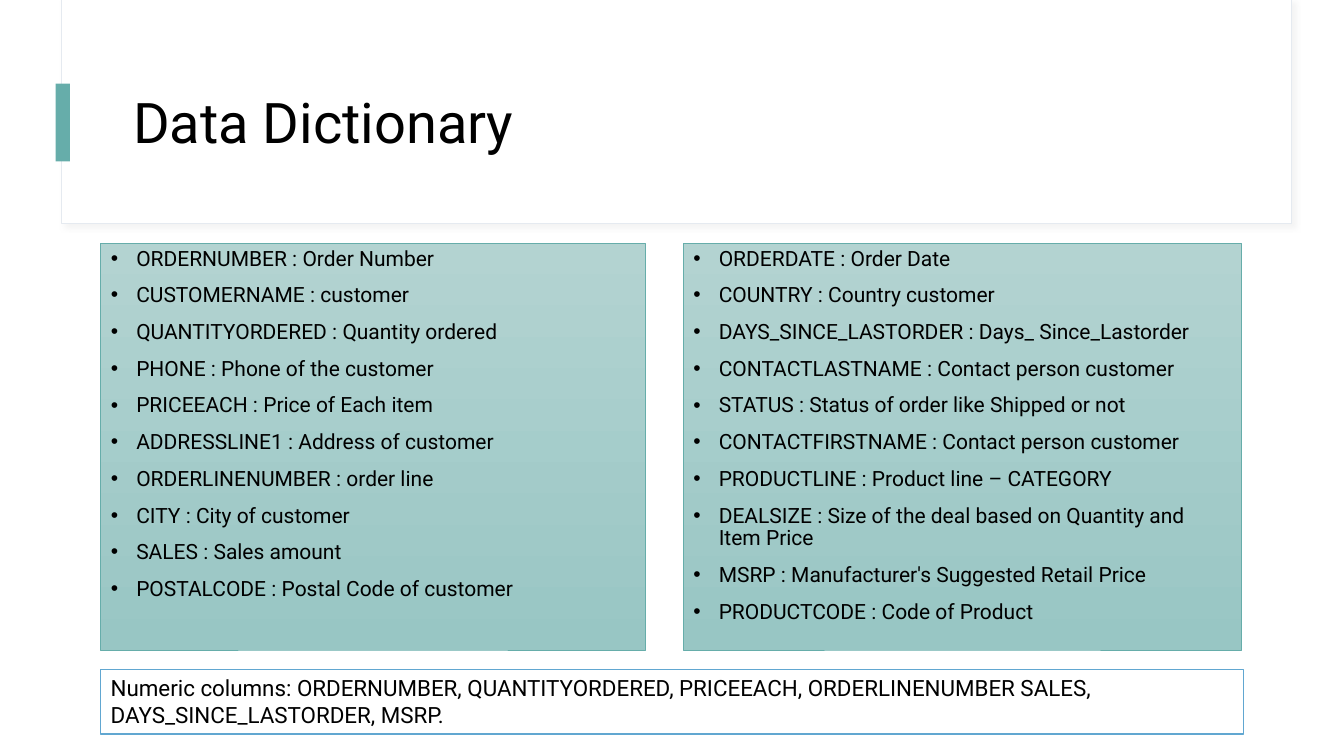
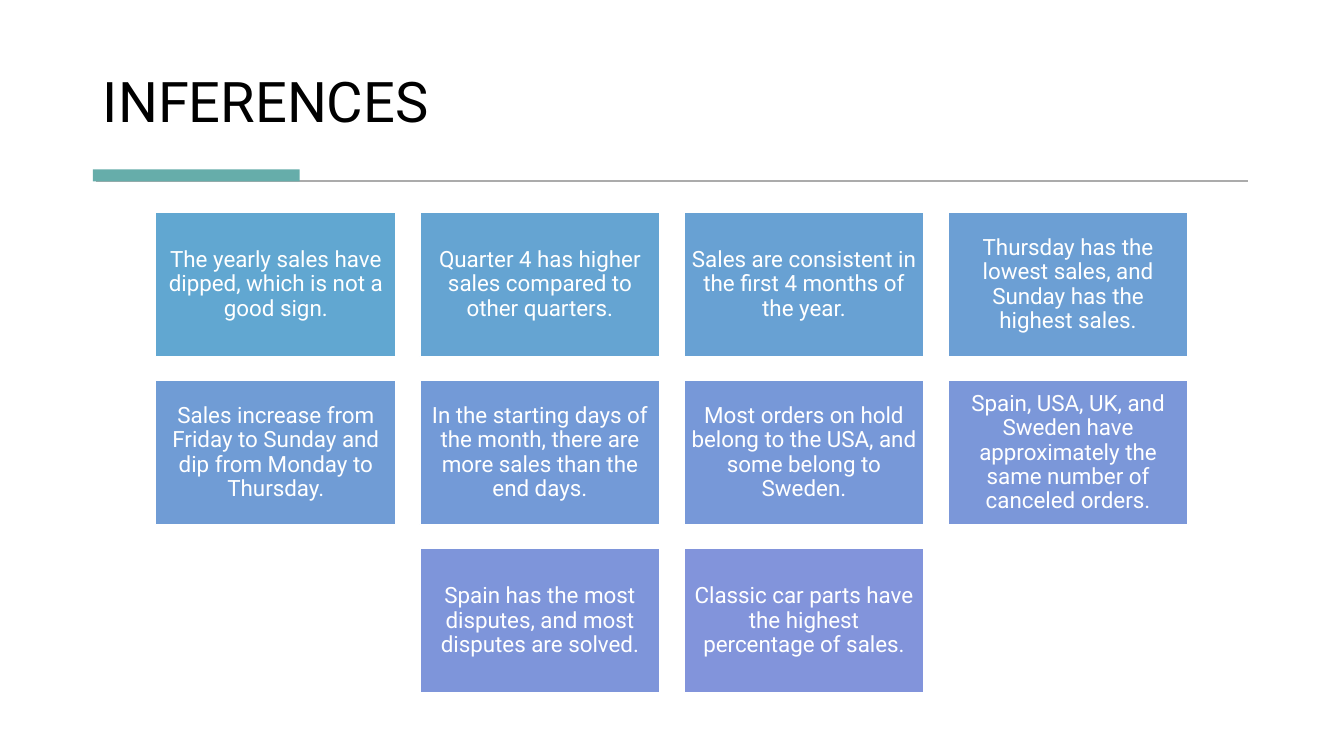
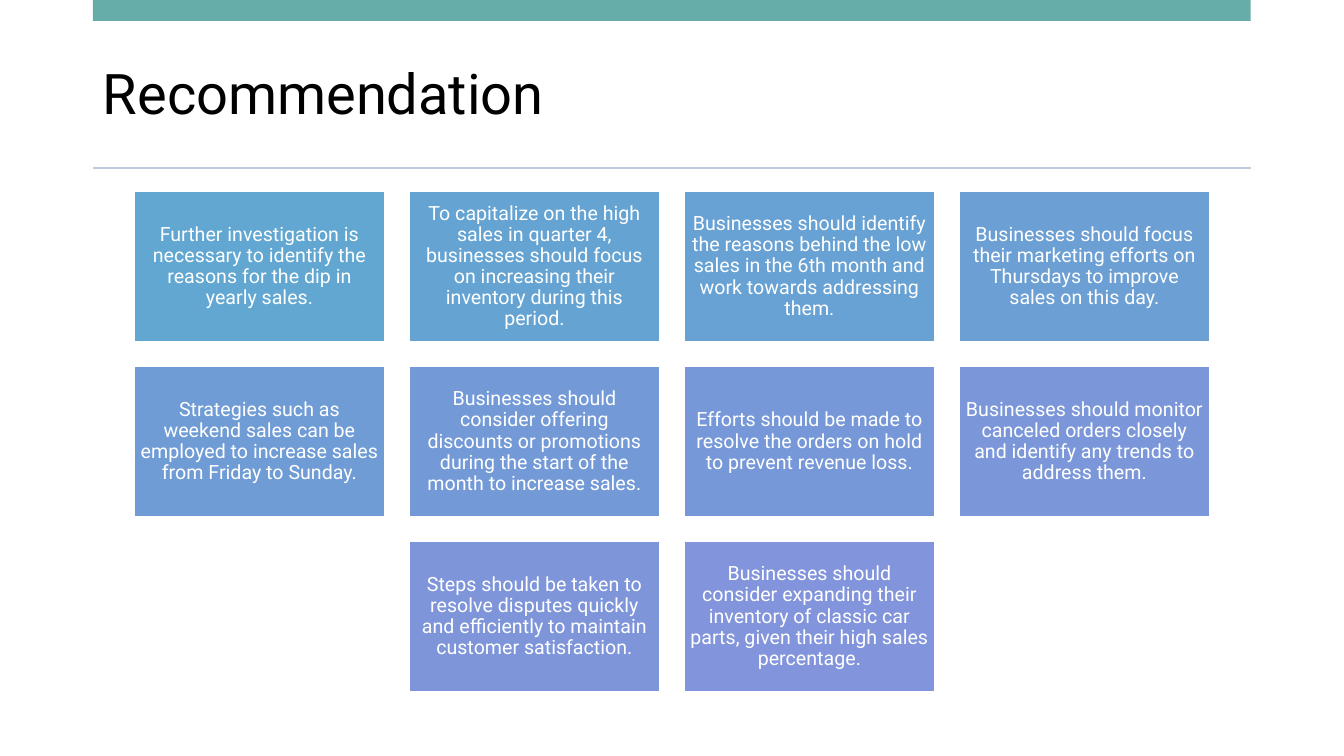
"""Builds three slides: a data dictionary, inferences and recommendations."""
from lxml import etree
from pptx import Presentation
from pptx.dml.color import RGBColor
from pptx.enum.shapes import MSO_CONNECTOR, MSO_SHAPE
from pptx.enum.text import MSO_ANCHOR, MSO_AUTO_SIZE, PP_ALIGN
from pptx.oxml import parse_xml
from pptx.oxml.ns import nsdecls, qn
from pptx.util import Cm, Pt

RECT = MSO_SHAPE.RECTANGLE
LINE = MSO_CONNECTOR.STRAIGHT
TOP, MIDDLE, BOTTOM = MSO_ANCHOR.TOP, MSO_ANCHOR.MIDDLE, MSO_ANCHOR.BOTTOM
LEFT, CENTER = PP_ALIGN.LEFT, PP_ALIGN.CENTER
FIXED = MSO_AUTO_SIZE.NONE

FONT = "Roboto"
WIDTH, HEIGHT = 33.87, 19.05
TWO_LISTS, TITLE_ONLY = 3, 5
COLORS = {
    "ink": "000000", "paper": "FFFFFF", "teal": "66ADAA", "blue": "61A7D1",
    "light": "B3D3D1", "deep": "98C6C4", "frame": "E5EAF0",
    "shade": "D9D9D9", "gray": "ABABAB", "mist": "BDCADB",
}
TILES = ["61A7D1", "65A4D2", "68A1D3", "6C9FD4", "709CD5",
         "739AD7", "7798D8", "7B97D9", "7E95DA", "8294DB"]

ORDERS = [
    "ORDERNUMBER : Order Number",
    "CUSTOMERNAME : customer",
    "QUANTITYORDERED : Quantity ordered",
    "PHONE : Phone of the customer",
    "PRICEEACH : Price of Each item",
    "ADDRESSLINE1 : Address of customer",
    "ORDERLINENUMBER : order line",
    "CITY : City of customer",
    "SALES : Sales amount",
    "POSTALCODE : Postal Code of customer",
]
DETAILS = [
    "ORDERDATE : Order Date",
    "COUNTRY : Country customer",
    "DAYS_SINCE_LASTORDER : Days_ Since_Lastorder",
    "CONTACTLASTNAME : Contact person customer",
    "STATUS : Status of order like Shipped or not",
    "CONTACTFIRSTNAME : Contact person customer",
    "PRODUCTLINE : Product line – CATEGORY",
    "DEALSIZE : Size of the deal based on Quantity and Item Price",
    "MSRP : Manufacturer's Suggested Retail Price",
    "PRODUCTCODE : Code of Product",
]
NUMBERS = ("Numeric columns: ORDERNUMBER, QUANTITYORDERED, PRICEEACH, "
           "ORDERLINENUMBER SALES, DAYS_SINCE_LASTORDER, MSRP.")
FINDINGS = [
    "The yearly sales have dipped, which is not a good sign.",
    "Quarter 4 has higher sales compared to other quarters.",
    "Sales are consistent in the first 4 months of the year.",
    "Thursday has the lowest sales, and Sunday has the highest sales.",
    "Sales increase from Friday to Sunday and dip from Monday to Thursday.",
    "In the starting days of the month, there are more sales than the end days.",
    "Most orders on hold belong to the USA, and some belong to Sweden.",
    "Spain, USA, UK, and Sweden have approximately the same number of "
    "canceled orders.",
    "Spain has the most disputes, and most disputes are solved.",
    "Classic car parts have the highest percentage of sales.",
]
ADVICE = [
    "Further investigation is necessary to identify the reasons for the dip "
    "in yearly sales.",
    "To capitalize on the high sales in quarter 4, businesses should focus on "
    "increasing their inventory during this period.",
    "Businesses should identify the reasons behind the low sales in the 6th "
    "month and work towards addressing them.",
    "Businesses should focus their marketing efforts on Thursdays to improve "
    "sales on this day.",
    "Strategies such as weekend sales can be employed to increase sales from "
    "Friday to Sunday.",
    "Businesses should consider offering discounts or promotions during the "
    "start of the month to increase sales.",
    "Efforts should be made to resolve the orders on hold to prevent revenue "
    "loss.",
    "Businesses should monitor canceled orders closely and identify any "
    "trends to address them.",
    "Steps should be taken to resolve disputes quickly and efficiently to "
    "maintain customer satisfaction.",
    "Businesses should consider expanding their inventory of classic car "
    "parts, given their high sales percentage.",
]


def paint(name):
    return RGBColor.from_string(COLORS.get(name, name))


def place(shape, box):
    shape.left, shape.top, shape.width, shape.height = map(Cm, box)


def write(shape, lines, size=16, color="ink", align=LEFT, anchor=TOP,
          spacing=0.9, before=0, indent=0, inset=None):
    frame = shape.text_frame
    frame.text = "\n".join(lines)
    frame.word_wrap = True
    frame.auto_size = FIXED
    frame.vertical_anchor = anchor
    if inset is not None:
        frame.margin_left = frame.margin_right = Cm(inset)
        frame.margin_top = frame.margin_bottom = Cm(inset)
    for para in frame.paragraphs:
        para.alignment = align
        para.line_spacing = spacing
        para.space_before = Pt(before)
        para.space_after = Pt(0)
        font = para.font
        for item in [font] + [run.font for run in para.runs]:
            item.name, item.size = FONT, Pt(size)
            item.color.rgb = paint(color)
        if indent:
            props = para._p.get_or_add_pPr()
            props.set("marL", str(Cm(indent)))
            props.set("indent", str(-Cm(indent)))


class Deck:
    def __init__(self):
        self.show = Presentation()
        self.show.slide_width, self.show.slide_height = Cm(WIDTH), Cm(HEIGHT)
        self.slide = None

    def page(self, layout, title, box, anchor=MIDDLE):
        self.slide = self.show.slides.add_slide(self.show.slide_layouts[layout])
        head = self.slide.shapes.title
        place(head, box)
        write(head, [title], size=40, anchor=anchor)

    def block(self, box, fill, line=None, width=1):
        shape = self.slide.shapes.add_shape(RECT, *map(Cm, box))
        shape.shadow.inherit = False
        shape.fill.solid()
        shape.fill.fore_color.rgb = paint(fill)
        self.edge(shape, line, width)
        return shape

    def edge(self, shape, line, width):
        if line is None:
            shape.line.fill.background()
        else:
            shape.line.color.rgb = paint(line)
            shape.line.width = Pt(width)

    def frame(self, box):
        shape = self.block(box, "paper", "frame", 0.75)
        effects = shape._element.spPr.find(qn("a:effectLst"))
        effects.append(parse_xml(
            f'<a:outerShdw {nsdecls("a")} blurRad="{Pt(4)}" dist="{Pt(3)}" '
            f'dir="2700000" algn="tl" rotWithShape="0">'
            f'<a:srgbClr val="{COLORS["shade"]}"><a:alpha val="30000"/>'
            f'</a:srgbClr></a:outerShdw>'))
        self.slide.shapes._spTree.insert(2, shape._element)

    def rule(self, left, right, top, color):
        line = self.slide.shapes.add_connector(
            LINE, Cm(left), Cm(top), Cm(right), Cm(top))
        line.line.color.rgb = paint(color)
        line.line.width = Pt(1.5)
        etree.SubElement(line._element.spPr, qn("a:effectLst"))

    def bullets(self, index, box, lines):
        shape = self.slide.placeholders[index]
        place(shape, box)
        shape.fill.gradient()
        shape.fill.gradient_angle = 270
        for stop, color in zip(shape.fill.gradient_stops, ("light", "deep")):
            stop.color.rgb = paint(color)
        self.edge(shape, "teal", 0.5)
        write(shape, lines, size=15, before=10, indent=0.64)

    def tiles(self, texts, top, width, size, inset, cols=4):
        gap, height = width * 0.1, width * 0.6
        for index, text in enumerate(texts):
            row, col = divmod(index, cols)
            count = min(cols, len(texts) - row * cols)
            left = (WIDTH - count * width - (count - 1) * gap) / 2
            box = (left + col * (width + gap), top + row * (height + gap),
                   width, height)
            tile = self.block(box, TILES[index], "paper")
            write(tile, [text], size=size, color="paper", align=CENTER,
                  anchor=MIDDLE, inset=inset)


def main():
    deck = Deck()

    deck.page(TWO_LISTS, "Data Dictionary", (3.1, 1.52, 28.24, 3.28))
    deck.frame((1.55, 0, 31.01, 5.64))
    deck.block((1.4, 2.11, 0.36, 1.96), "teal")
    deck.bullets(1, (2.54, 6.12, 13.72, 10.26), ORDERS)
    deck.bullets(2, (17.22, 6.12, 14.07, 10.26), DETAILS)
    note = deck.block((2.54, 16.87, 28.8, 1.63), "paper", "blue")
    write(note, [NUMBERS], spacing=1.0)

    deck.page(TITLE_ONLY, "INFERENCES", (2.34, 0.71, 29.18, 2.82), BOTTOM)
    deck.rule(2.41, 31.44, 4.57, "gray")
    deck.block((2.34, 4.27, 5.21, 0.3), "teal")
    deck.tiles(FINDINGS, top=5.36, width=6.05, size=16, inset=0.17)

    deck.page(TITLE_ONLY, "Recommendation", (2.34, 0.94, 29.18, 3))
    deck.block((2.34, 0, 29.18, 0.53), "teal")
    deck.rule(2.34, 31.52, 4.23, "mist")
    deck.tiles(ADVICE, top=4.83, width=6.3, size=14, inset=0.15)

    deck.show.save("out.pptx")


if __name__ == "__main__":
    main()
